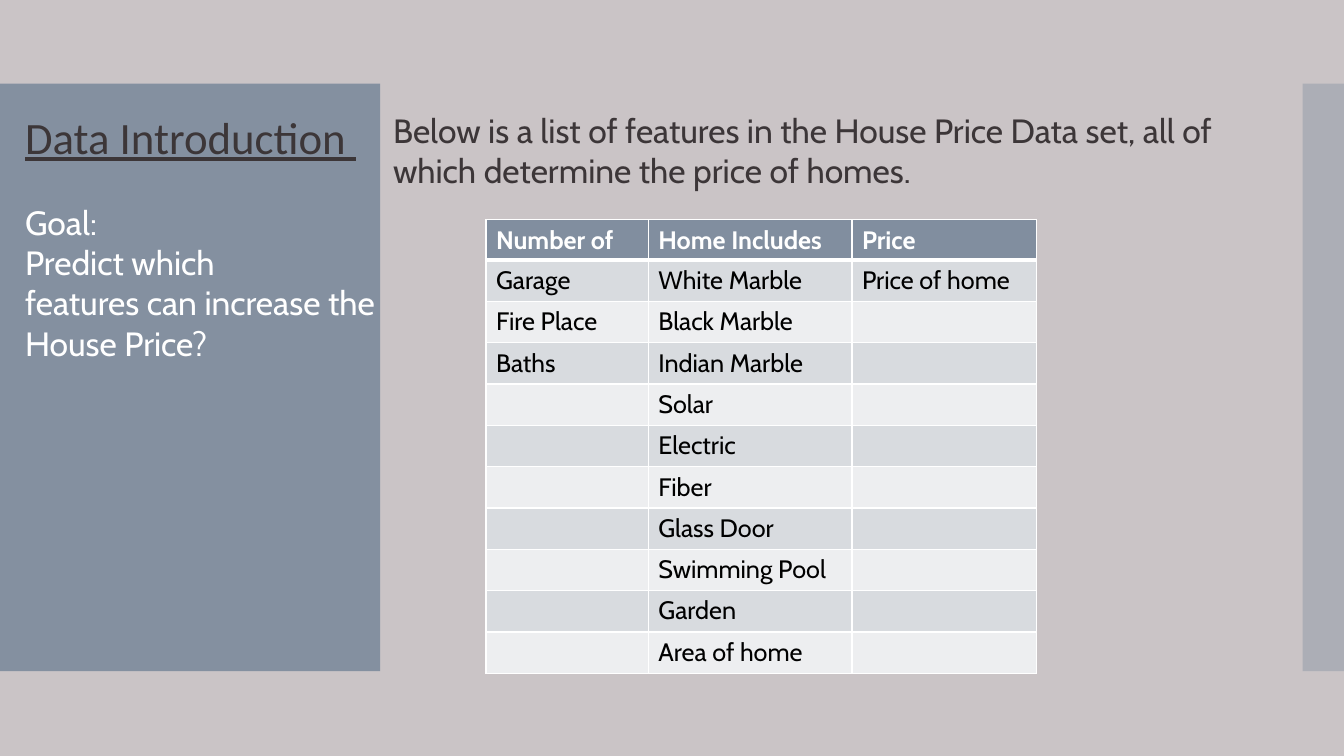
from pptx import Presentation
from pptx.dml.color import RGBColor
from pptx.enum.shapes import MSO_SHAPE as Shape
from pptx.oxml.ns import qn
from pptx.util import Inches, Pt
from lxml.etree import SubElement

BACKGROUND = RGBColor(0xCA, 0xC4, 0xC6)
SLATE = RGBColor(0x81, 0x8E, 0x9F)
DARK = RGBColor(0x3C, 0x36, 0x38)
WHITE = RGBColor(0xFF, 0xFF, 0xFF)
BLACK = RGBColor(0, 0, 0)
BAND_DARK = RGBColor(0xD8, 0xDB, 0xDF)
BAND_LIGHT = RGBColor(0xED, 0xEE, 0xF0)

prs = Presentation()
prs.slide_width, prs.slide_height = Inches(13.33), Inches(7.5)
slide = prs.slides.add_slide(prs.slide_layouts[6])
slide.background.fill.solid()
slide.background.fill.fore_color.rgb = BACKGROUND


def add_text(left, top, width, height, text, size, font, color, underline=None):
    box = slide.shapes.add_textbox(Inches(left), Inches(top), Inches(width), Inches(height))
    box.text_frame.word_wrap = True
    box.text_frame.text = text
    for paragraph in box.text_frame.paragraphs:
        for run in paragraph.runs:
            run.font.size, run.font.name = Pt(size), font
            run.font.color.rgb, run.font.underline = color, underline


def add_border(cell, side, width):
    line = SubElement(cell._tc.get_or_add_tcPr(), qn(f"a:ln{side}"), w=str(Pt(width)))
    fill = SubElement(line, qn("a:solidFill"))
    SubElement(fill, qn("a:srgbClr"), val=str(WHITE))


# Side panels
for left, width, opacity in [(0, 3.77, 95), (12.92, 0.41, 40)]:
    panel = slide.shapes.add_shape(
        Shape.RECTANGLE, Inches(left), Inches(0.83), Inches(width), Inches(5.83))
    panel.shadow.inherit = False
    panel.line.fill.background()
    panel.fill.solid()
    panel.fill.fore_color.rgb = SLATE
    color = panel._element.spPr.find(qn("a:solidFill"))[0]
    SubElement(color, qn("a:alpha"), val=str(opacity * 1000))

# Title, introduction and goal
add_text(0.15, 1.04, 6.69, 0.64, "Data Introduction ", 32, "Calibri", DARK, True)
add_text(3.8, 1.04, 9, 0.91,
         "Below is a list of features in the House Price Data set, "
         "all of which determine the price of homes.", 24, "Cabin", DARK)
add_text(0.15, 1.95, 6.12, 1.72,
         "Goal:\nPredict which\nfeatures can increase the\nHouse Price?", 24, "Cabin", WHITE)

# Feature table
features = [
    ("Number of", "Home Includes", "Price"),
    ("Garage", "White Marble", "Price of home"),
    ("Fire Place", "Black Marble", ""),
    ("Baths", "Indian Marble", ""),
    ("", "Solar", ""),
    ("", "Electric", ""),
    ("", "Fiber", ""),
    ("", "Glass Door", ""),
    ("", "Swimming Pool", ""),
    ("", "Garden", ""),
    ("", "Area of home", ""),
]
table = slide.shapes.add_table(
    len(features), 3, Inches(4.82), Inches(2.18), Inches(5.46), Inches(4.46)).table
for column, width in zip(table.columns, (1.61, 2.02, 1.83)):
    column.width = Inches(width)
for row, entries in enumerate(features):
    header = row == 0
    table.rows[row].height = Inches(0.4 if header else 0.41)
    for col, entry in enumerate(entries):
        cell = table.cell(row, col)
        for side in "LRTB":
            under_header = (row, side) in [(0, "B"), (1, "T")]
            add_border(cell, side, 3 if under_header else 1)
        cell.fill.solid()
        cell.fill.fore_color.rgb = SLATE if header else BAND_DARK if row % 2 else BAND_LIGHT
        cell.text_frame.text = entry
        for run in cell.text_frame.paragraphs[0].runs:
            run.font.size, run.font.name, run.font.bold = Pt(18), "Cabin", header
            run.font.color.rgb = WHITE if header else BLACK

prs.save("out.pptx")
